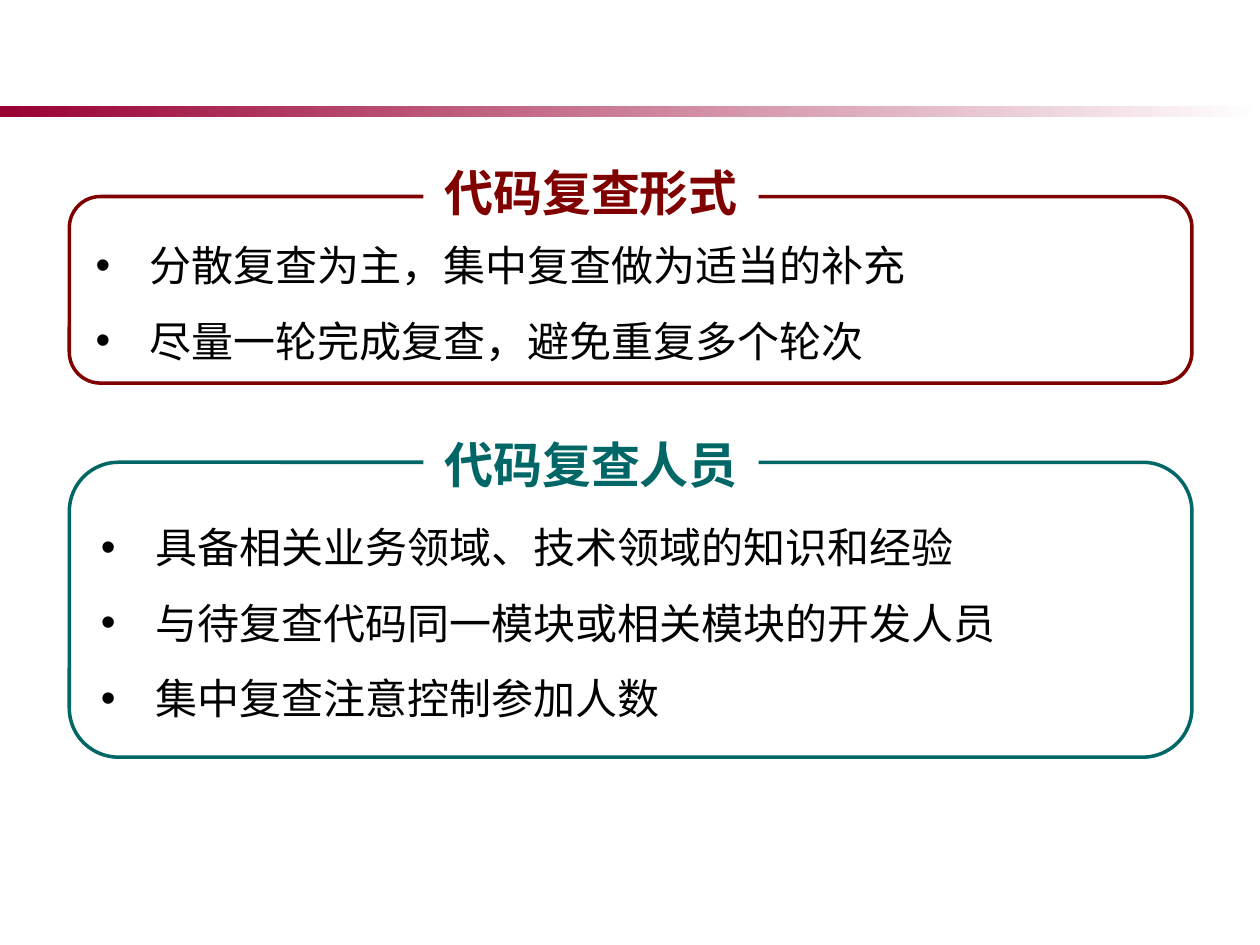
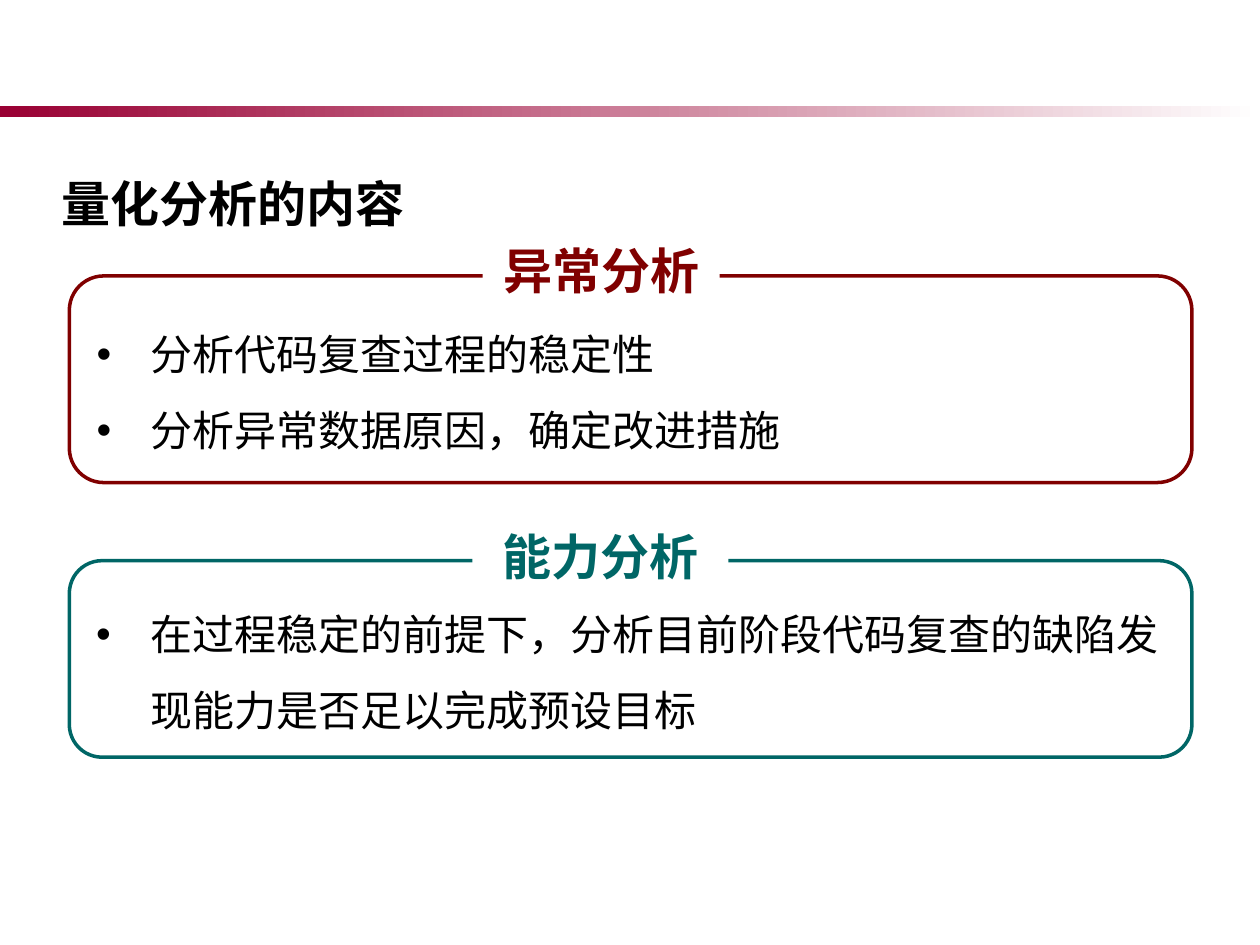
from pptx import Presentation
from pptx.dml.color import RGBColor
from pptx.enum.shapes import MSO_SHAPE as SHAPE
from pptx.enum.text import MSO_ANCHOR as ANCHOR, MSO_AUTO_SIZE as AUTO, PP_ALIGN as ALIGN
from pptx.oxml.ns import qn
from pptx.util import Pt
from lxml.etree import SubElement

FONT = "Noto Sans CJK SC"
BLACK, WHITE = "000000", "FFFFFF"
CRIMSON, MAROON, TEAL = "990033", "800000", "006666"
HEADING = {"size": Pt(28), "bold": True}
BODY = {"size": Pt(24), "bold": False}
PANEL_LEFT, PANEL_WIDTH = 39.6, 641.5
BODY_LAYOUT, BLANK_LAYOUT = 1, 6


def color(hex_code):
    """Turn a hex string into a colour."""
    return RGBColor.from_string(hex_code)


def add_text(p, text, style, hex_code):
    """Add one formatted run to a paragraph."""
    r = p.add_run()
    r.text = text
    for name, value in {**style, "name": FONT}.items():
        setattr(r.font, name, value)
    r.font.color.rgb = color(hex_code)
    SubElement(r.font._element, qn("a:ea"), typeface=FONT)


def set_indent(p, left, hanging, bullet=None):
    """Set a hanging indent, with a bullet or with none."""
    pPr = p._p.get_or_add_pPr()
    pPr.set("marL", str(Pt(left)))
    pPr.set("indent", str(-Pt(hanging)))
    if bullet:
        SubElement(pPr, qn("a:buFont"), typeface="Arial")
        SubElement(pPr, qn("a:buChar"), char=bullet)
    else:
        SubElement(pPr, qn("a:buNone"))


def add_box(s, kind, left, top, width, height):
    """Add a shape without shadow, with wrapped, vertically centred text."""
    sp = s.shapes.add_shape(kind, Pt(left), Pt(top), Pt(width), Pt(height))
    sp.shadow.inherit = False
    sp.text_frame.word_wrap = True
    sp.text_frame.vertical_anchor = ANCHOR.MIDDLE
    return sp


def add_master_band(prs, s):
    """Draw the fading band and move it behind everything on the master."""
    sp = add_box(s, SHAPE.RECTANGLE, 0, 60.5, 720, 6.5)
    sp.line.fill.background()
    sp.fill.gradient()
    sp.fill.gradient_angle = 0
    for stop, hex_code in zip(sp.fill.gradient_stops, (CRIMSON, WHITE)):
        stop.color.rgb = color(hex_code)
    prs.slide_master.shapes.element.insert(2, sp._element)


def add_caption(s, text, hex_code, left, top, width, height):
    """Add a white label that interrupts the panel outline."""
    sp = add_box(s, SHAPE.RECTANGLE, left, top, width, height)
    sp.fill.solid()
    sp.fill.fore_color.rgb = color(WHITE)
    sp.line.fill.background()
    p = sp.text_frame.paragraphs[0]
    p.alignment = ALIGN.CENTER
    add_text(p, text, HEADING, hex_code)


def add_panel(s, hex_code, top, height, items, caption, caption_box):
    """Add a rounded outline with bullets and a caption on its top edge."""
    sp = add_box(s, SHAPE.ROUNDED_RECTANGLE, PANEL_LEFT, top, PANEL_WIDTH, height)
    sp.fill.background()
    sp.line.color.rgb = color(hex_code)
    sp.line.width = Pt(2)
    tf = sp.text_frame
    for i, item in enumerate(items):
        p = tf.add_paragraph() if i else tf.paragraphs[0]
        p.alignment = ALIGN.LEFT
        p.line_spacing = 1.5
        set_indent(p, 33.8, 31, "•")
        add_text(p, item, BODY, BLACK)
    add_caption(s, caption, hex_code, *caption_box)


def add_heading(s, text):
    """Put the section heading in the body placeholder."""
    sp = s.placeholders[1]
    box = {"left": 28.1, "top": 78.5, "width": 637.9, "height": 73.4}
    for name, value in box.items():
        setattr(sp, name, Pt(value))
    tf = sp.text_frame
    tf.auto_size = AUTO.NONE
    p = tf.paragraphs[0]
    p.line_spacing = 1.5
    p.space_before = Pt(5.6)
    set_indent(p, 48, 48)
    add_text(p, text, HEADING, BLACK)


def build_review_slide(prs):
    """Build the slide on the form of review and the reviewers."""
    s = prs.slides.add_slide(prs.slide_layouts[BLANK_LAYOUT])
    add_master_band(prs, s)
    add_panel(s, MAROON, 112.3, 106.6,
              ["分散复查为主，集中复查做为适当的补充",
               "尽量一轮完成复查，避免重复多个轮次"],
              "代码复查形式", (242, 95.8, 191.5, 28))
    add_panel(s, TEAL, 264.2, 168.5,
              ["具备相关业务领域、技术领域的知识和经验",
               "与待复查代码同一模块或相关模块的开发人员",
               "集中复查注意控制参加人数"],
              "代码复查人员", (242, 247.7, 191.5, 35.3))


def build_analysis_slide(prs):
    """Build the slide on quantitative analysis."""
    s = prs.slides.add_slide(prs.slide_layouts[BODY_LAYOUT])
    title = s.shapes.title._element
    title.getparent().remove(title)
    add_heading(s, "量化分析的内容")
    add_panel(s, MAROON, 157.7, 118.1,
              ["分析代码复查过程的稳定性",
               "分析异常数据原因，确定改进措施"],
              "异常分析", (275.8, 140.4, 135.4, 28))
    add_panel(s, TEAL, 320.4, 112.3,
              ["在过程稳定的前提下，分析目前阶段代码复查的缺陷发现能力是否足以完成预设目标"],
              "能力分析", (270, 303.8, 146.2, 28))


def main():
    """Build the presentation and save it."""
    prs = Presentation()
    prs.slide_width, prs.slide_height = Pt(720), Pt(540)
    build_review_slide(prs)
    build_analysis_slide(prs)
    prs.save("out.pptx")


main()
